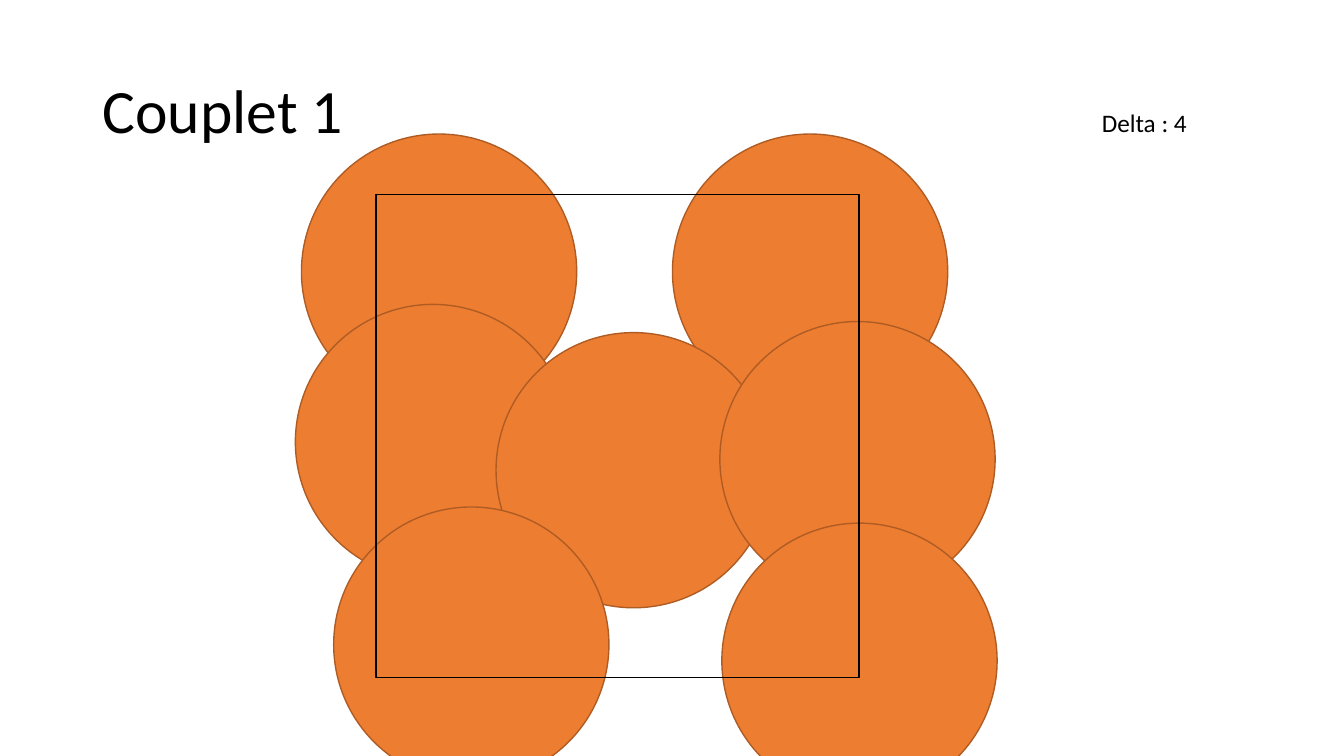
from pptx import Presentation
from pptx.dml.color import RGBColor
from pptx.enum.shapes import MSO_SHAPE
from pptx.enum.text import MSO_ANCHOR
from pptx.util import Pt

PX = 9144  # EMU per px, 100 px to the inch
COLORS = {"disc": "ED7D31", "edge": "AF5C24", "ink": "000000"}
DISC = 273
FRAME = 479
# Left and top of each disc, from back to front
SPOTS = [(299, 133), (667, 133), (293, 302), (492, 330),
         (331, 503), (714, 319), (716, 519)]


def color(name):
    return RGBColor.from_string(COLORS[name])


def add_text(slide, text, box, size, anchor=MSO_ANCHOR.TOP, spacing=1.0):
    shape = slide.shapes.add_textbox(*(n * PX for n in box))
    frame = shape.text_frame
    frame.word_wrap = True
    frame.vertical_anchor = anchor
    para = frame.paragraphs[0]
    para.line_spacing = spacing
    run = para.add_run()
    run.text = text
    run.font.name = "Calibri"
    run.font.size = Pt(size)
    run.font.color.rgb = color("ink")


def add_form(slide, kind, left, top, side, line, fill=None):
    shape = slide.shapes.add_shape(
        kind, left * PX, top * PX, side * PX, side * PX)
    shape.shadow.inherit = False
    if fill:
        shape.fill.solid()
        shape.fill.fore_color.rgb = color(fill)
    else:
        shape.fill.background()
    shape.line.color.rgb = color(line)
    shape.line.width = Pt(1)


def main():
    deck = Presentation()
    deck.slide_width, deck.slide_height = 1333 * PX, 750 * PX
    slide = deck.slides.add_slide(deck.slide_layouts[6])

    # Title
    add_text(slide, "Couplet 1", (92, 40, 1150, 145), 44,
             anchor=MSO_ANCHOR.MIDDLE, spacing=0.9)

    # Discs
    for left, top in SPOTS:
        add_form(slide, MSO_SHAPE.OVAL, left, top, DISC, "edge", fill="disc")

    # Square frame over the discs
    add_form(slide, MSO_SHAPE.RECTANGLE, 373, 193, FRAME, "ink")

    # Delta label
    add_text(slide, "Delta : 4", (1083, 102, 306, 40), 18)

    deck.save("out.pptx")


if __name__ == "__main__":
    main()
